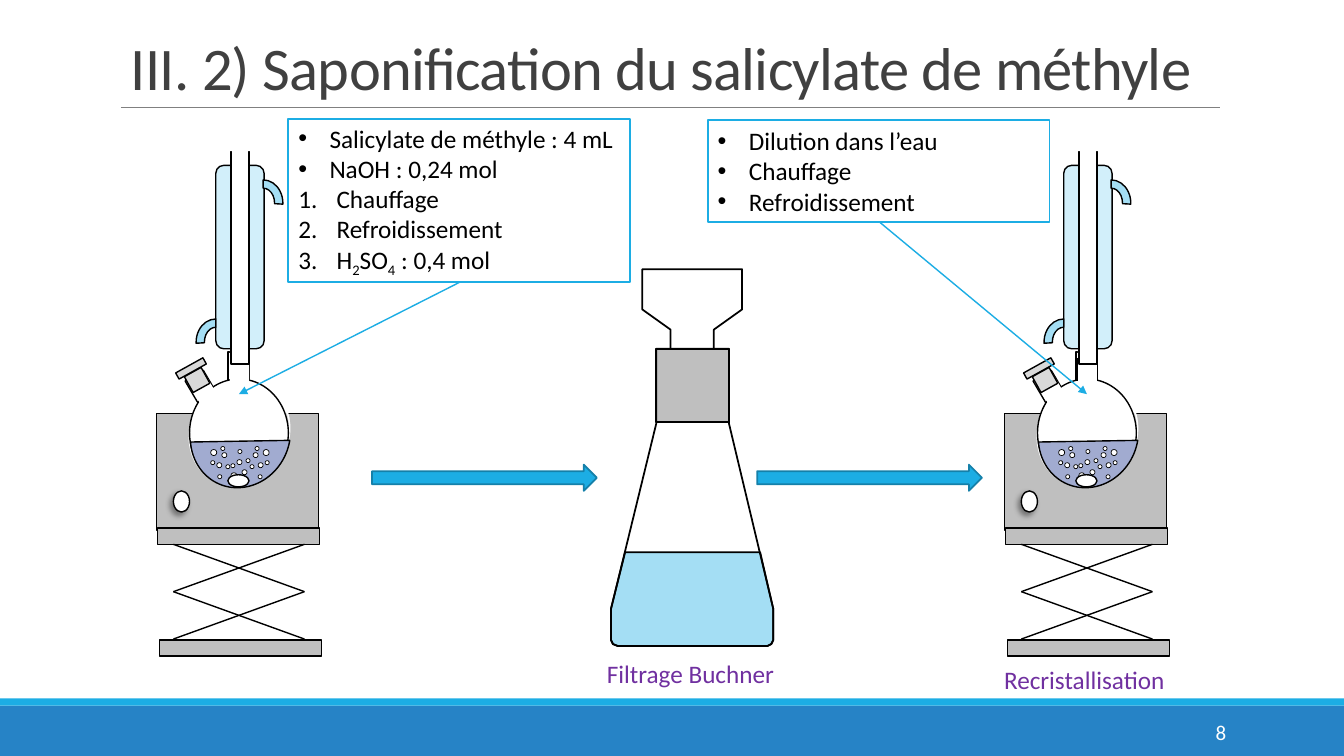
"""Build the slide on the saponification of methyl salicylate."""
from lxml import etree
from pptx import Presentation
from pptx import util as u
from pptx.dml.color import RGBColor
from pptx.enum import shapes, text
from pptx.oxml.ns import qn

BLACK = RGBColor(0x00, 0x00, 0x00)
WHITE = RGBColor(0xFF, 0xFF, 0xFF)
GREY = RGBColor(0xBF, 0xBF, 0xBF)
PALE_GREY = RGBColor(0xD9, 0xD9, 0xD9)
RULE_GREY = RGBColor(0x80, 0x80, 0x80)
TITLE_GREY = RGBColor(0x40, 0x40, 0x40)
BLUE = RGBColor(0x26, 0x83, 0xC6)
CYAN = RGBColor(0x1C, 0xAD, 0xE4)
DARK_CYAN = RGBColor(0x15, 0x80, 0xA9)
WATER = RGBColor(0xA4, 0xDE, 0xF4)
GLASS = RGBColor(0xD2, 0xEF, 0xFA)
LIQUID = RGBColor(0xA1, 0xAB, 0xD0)
PURPLE = RGBColor(0x70, 0x30, 0xA0)

CM_PER_INCH = 2.54
SECOND_SETUP = 8.41
KIND = shapes.MSO_SHAPE
SIDE_BUBBLES = [(2.63, 4.57, 0.04), (2.56, 4.59, 0.05), (2.51, 4.49, 0.05), (2.61, 4.46, 0.06),
                (2.53, 4.43, 0.04), (2.48, 4.61, 0.04), (2.56, 4.71, 0.04)]
MIDDLE_BUBBLES = [(2.29, 4.6, 0.04), (2.35, 4.56, 0.05), (2.4, 4.66, 0.05), (2.29, 4.69, 0.06),
                  (2.39, 4.73, 0.04), (2.44, 4.55, 0.04), (2.36, 4.46, 0.04)]
BUBBLE_AXIS = 2.38


def length(inches):
    """Turn inches into a slide length."""
    return u.Cm(inches * CM_PER_INCH)


def add_xml(parent, tag, **attributes):
    """Append a DrawingML element and return it."""
    return etree.SubElement(parent, qn(tag), attributes)


class Sketch:
    """Hold the style and the current slide, and draw each kind of element."""

    font = "Calibri"

    def __init__(self, slide):
        """Keep the slide to draw on."""
        self.slide = slide
        self.offset = 0

    def place(self, *box):
        """Return a box as lengths, moved by the current offset."""
        return [length(value) for value in (box[0] + self.offset, *box[1:])]

    def paint(self, shape, fill, line, weight):
        """Set fill and outline, and drop the shadow."""
        shape.shadow.inherit = False
        if fill is None:
            shape.fill.background()
        else:
            shape.fill.solid()
            shape.fill.fore_color.rgb = fill
        if line is None:
            shape.line.fill.background()
        else:
            shape.line.color.rgb = line
            shape.line.width = u.Pt(weight)

    def shape(self, kind, box, fill=WHITE, line=BLACK, weight=1, turn=0, adjust=()):
        """Add a preset shape."""
        shape = self.slide.shapes.add_shape(kind, *self.place(*box))
        self.paint(shape, fill, line, weight)
        shape.rotation = turn
        for index, value in enumerate(adjust):
            shape.adjustments[index] = value
        return shape

    def outline(self, points, fill=None):
        """Add a closed polygon."""
        corners = [self.place(*point) for point in points]
        builder = self.slide.shapes.build_freeform(*corners[0], scale=1.0)
        builder.add_line_segments(corners[1:], close=True)
        self.paint(builder.convert_to_shape(), fill, BLACK, 1.25)

    def line(self, start, end, color=BLACK, weight=1, arrow=False):
        """Add a straight connector."""
        connector = self.slide.shapes.add_connector(
            shapes.MSO_CONNECTOR.STRAIGHT, *self.place(*start), *self.place(*end))
        connector.line.color.rgb = color
        connector.line.width = u.Pt(weight)
        if arrow:
            add_xml(connector.line._get_or_add_ln(), "a:tailEnd", type="triangle")
        add_xml(connector._element.spPr, "a:effectLst")

    def run(self, paragraph, words, size, color):
        """Add one run and return its properties element."""
        run = paragraph.add_run()
        run.text = words
        run.font.name, run.font.size = self.font, u.Pt(size)
        run.font.color.rgb = color
        return run._r.get_or_add_rPr()

    def label(self, box, words, size, color, anchor=text.MSO_ANCHOR.TOP,
              align=text.PP_ALIGN.LEFT, spacing=1.0, tracking=0):
        """Add a text box of one paragraph."""
        frame = self.slide.shapes.add_textbox(*self.place(*box)).text_frame
        frame.word_wrap, frame.vertical_anchor = True, anchor
        paragraph = frame.paragraphs[0]
        paragraph.alignment, paragraph.line_spacing = align, spacing
        properties = self.run(paragraph, words, size, color)
        if tracking:
            properties.set("spc", str(tracking))

    def callout(self, box, bullets, steps=()):
        """Add a framed list of bullets, then numbered steps with subscript digits."""
        frame = self.shape(KIND.RECTANGLE, box, WHITE, CYAN, 1.25).text_frame
        frame.word_wrap = True
        items = [(False, [item]) for item in bullets] + [(True, step) for step in steps]
        for index, (numbered, parts) in enumerate(items):
            paragraph = frame.add_paragraph() if index else frame.paragraphs[0]
            paragraph.alignment = text.PP_ALIGN.LEFT
            indent = length(0.38 if numbered else 0.31)
            properties = paragraph._p.get_or_add_pPr()
            properties.set("marL", str(indent))
            properties.set("indent", str(-indent))
            if numbered:
                add_xml(properties, "a:buFont", typeface="+mj-lt")
                add_xml(properties, "a:buAutoNum", type="arabicPeriod")
            else:
                add_xml(properties, "a:buFont", typeface="Arial")
                add_xml(properties, "a:buChar", char="•")
            for part in parts:
                run_properties = self.run(paragraph, part, 18, BLACK)
                if part.isdigit():
                    run_properties.set("baseline", "-25000")

    def heater(self):
        """Draw the heating mantle on its lifting jack."""
        self.shape(KIND.RECTANGLE, (1.55, 4.1, 1.61, 1.16), GREY)
        knob = self.shape(KIND.OVAL, (1.72, 4.87, 0.16, 0.21))
        effects = knob._element.spPr.find(qn("a:effectLst"))
        shadow = add_xml(effects, "a:outerShdw", blurRad=str(u.Pt(4)), dist=str(u.Pt(3)),
                         dir="8100000", algn="tr", rotWithShape="0")
        add_xml(add_xml(shadow, "a:srgbClr", val=str(BLACK)), "a:alpha", val="40000")
        self.shape(KIND.CHORD, (1.83, 3.8, 1.09, 0.98), PALE_GREY, WHITE,
                   turn=292.8, adjust=(27, 162.36))
        for left, top in ((1.56, 5.24), (1.58, 6.35)):
            self.shape(KIND.RECTANGLE, (left, top, 1.61, 0.16), GREY)
        for top in (5.4, 5.87):
            for start, end in ((1.72, 3.02), (3.02, 1.72)):
                self.line((start, top), (end, top + 0.47))

    def flask(self):
        """Draw the two-necked flask with its boiling liquid and stopper."""
        self.shape(KIND.RECTANGLE, (1.92, 3.7, 0.21, 0.39), turn=329.6)
        self.shape(KIND.RECTANGLE, (2.26, 3.49, 0.21, 0.39))
        self.shape(KIND.OVAL, (1.88, 3.76, 0.98, 1.07))
        self.shape(KIND.RECTANGLE, (1.94, 3.68, 0.19, 0.44), line=None, turn=329.6)
        self.shape(KIND.RECTANGLE, (2.28, 3.47, 0.19, 0.44), line=None)
        self.shape(KIND.CHORD, (1.85, 3.82, 1.07, 0.98), LIQUID,
                   turn=292.7, adjust=(44.47, 143.22))
        mirrored = [(2 * BUBBLE_AXIS - left - size, top, size) for left, top, size in SIDE_BUBBLES]
        for left, top, size in SIDE_BUBBLES + mirrored + MIDDLE_BUBBLES:
            self.shape(KIND.OVAL, (left, top, size, size), weight=0.5)
        self.shape(KIND.OVAL, (2.26, 4.71, 0.21, 0.12))
        for box in ((1.86, 3.68, 0.19, 0.18), (1.74, 3.62, 0.31, 0.07)):
            self.shape(KIND.RECTANGLE, box, PALE_GREY, turn=331)

    def condenser(self):
        """Draw the water condenser with its two hose ends."""
        self.shape(KIND.ROUNDED_RECTANGLE, (2.14, 1.64, 0.48, 1.82), GLASS)
        self.shape(KIND.RECTANGLE, (2.29, 1.49, 0.18, 2.12))
        self.shape(KIND.RECTANGLE, (2.25, 1.43, 0.24, 0.07), line=None)
        for left, top, turn in ((2.38, 1.82, 90), (1.91, 3.2, 270)):
            hose = self.shape(KIND.BLOCK_ARC, (left, top, 0.46, 0.39), WATER,
                              turn=turn, adjust=(108, 163.84, 0.21))
            if turn == 270:
                hose._element.spPr.xfrm.set("flipH", "1")

    def filtration(self):
        """Draw the funnel, its collar and the conical flask of filtrate."""
        base = [(7.67, 6.04), (7.67, 6.35), (7.65, 6.39), (7.61, 6.41),
                (6.13, 6.41), (6.08, 6.39), (6.06, 6.35), (6.06, 6.04)]
        self.outline([(6.37, 2.67), (7.36, 2.67), (7.36, 3.07), (7.08, 3.27), (7.08, 3.68),
                      (6.65, 3.68), (6.65, 3.27), (6.37, 3.07)])
        self.shape(KIND.RECTANGLE, (6.51, 3.46, 0.72, 0.73), GREY, weight=1.25)
        self.outline([(6.2, 5.48), (7.54, 5.48), *base], WATER)
        self.outline([(6.51, 3.46), (7.23, 3.46), (7.23, 4.2), *base, (6.51, 4.2)])


presentation = Presentation()
presentation.slide_width, presentation.slide_height = length(13.33), length(7.5)
sketch = Sketch(presentation.slides.add_slide(presentation.slide_layouts[6]))

sketch.shape(KIND.RECTANGLE, (0, 7, 13.33, 0.5), BLUE, None)
sketch.shape(KIND.RECTANGLE, (0, 6.93, 13.33, 0.07), CYAN, None)
sketch.line((1.2, 1.07), (12.1, 1.07), RULE_GREY, 0.5)
sketch.label((1.2, 0.31, 11, 0.76), "III. 2) Saponification du salicylate de méthyle", 43.2,
             TITLE_GREY, text.MSO_ANCHOR.BOTTOM, spacing=0.85, tracking=-50)
sketch.label((10.83, 7.06, 1.43, 0.4), "8", 15, WHITE,
             text.MSO_ANCHOR.MIDDLE, text.PP_ALIGN.RIGHT)

for sketch.offset in (0, SECOND_SETUP):
    sketch.heater()
    sketch.flask()
sketch.offset = 0
sketch.filtration()
for arrow_left in (3.69, 7.51):
    sketch.shape(KIND.RIGHT_ARROW, (arrow_left, 4.61, 2.23, 0.26), CYAN, DARK_CYAN, 1.25)
sketch.label((5.92, 6.48, 1.91, 0.4), "Filtrage Buchner", 18, PURPLE)
sketch.label((9.86, 6.54, 1.91, 0.4), "Recristallisation", 18, PURPLE)

sketch.callout((7.02, 1.19, 3.39, 1.01), ["Dilution dans l’eau", "Chauffage", "Refroidissement"])
sketch.line((4.56, 2.8), (2.37, 3.91), CYAN, arrow=True)
sketch.shape(KIND.RECTANGLE, (2.28, 3.6, 0.18, 0.09), WHITE, WHITE, 1.5)
for sketch.offset in (0, SECOND_SETUP):
    sketch.condenser()
sketch.offset = 0
sketch.callout((2.86, 1.18, 3.39, 1.62), ["Salicylate de méthyle : 4 mL", "NaOH : 0,24 mol"],
               [["Chauffage"], ["Refroidissement"], ["H", "2", "SO", "4", " : 0,4 mol"]])
sketch.line((8.72, 2.2), (10.78, 3.91), CYAN, arrow=True)
sketch.line((10.69, 3.55), (10.69, 3.78))

presentation.save("out.pptx")
